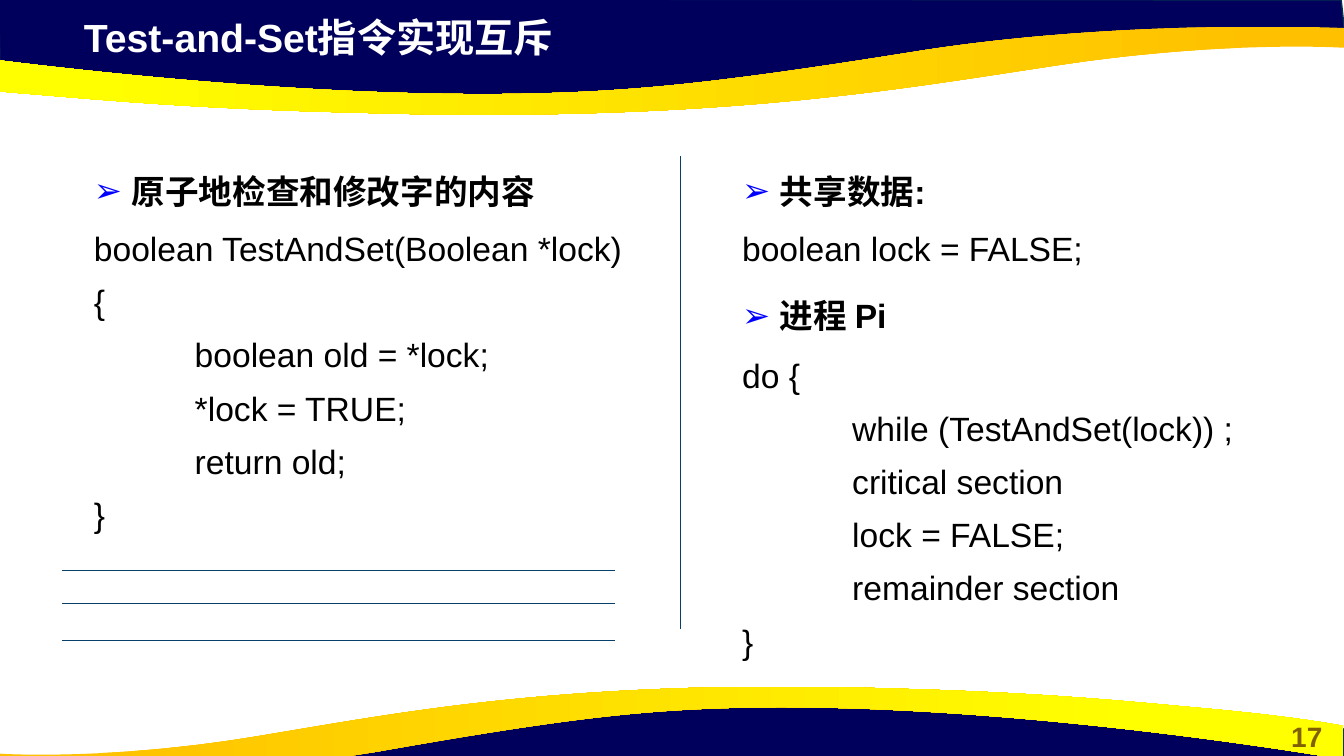
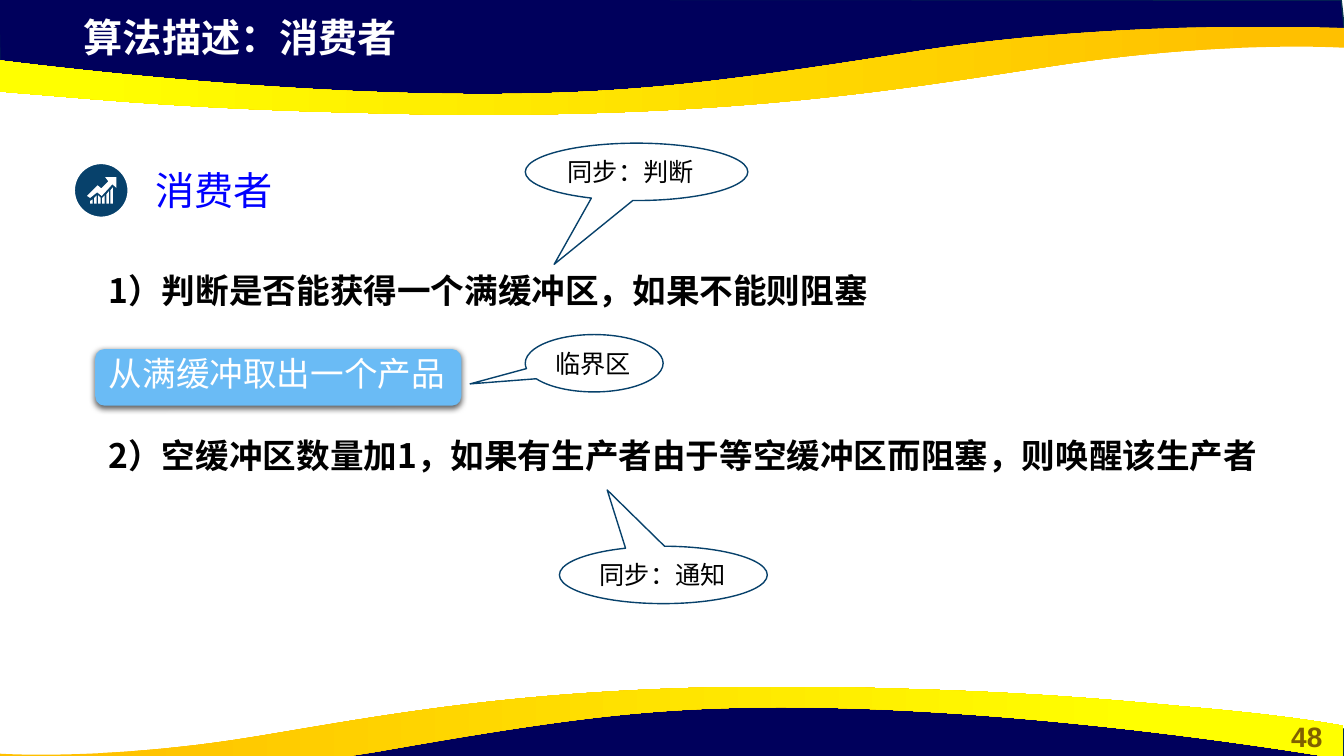
import lxml.etree
import pptx
import pptx.dml.color
import pptx.enum.shapes
import pptx.enum.text
import pptx.oxml.ns
import pptx.util

Pt = pptx.util.Pt
RGBColor = pptx.dml.color.RGBColor
SHAPE = pptx.enum.shapes.MSO_SHAPE
ANCHOR = pptx.enum.text.MSO_ANCHOR
ALIGN = pptx.enum.text.PP_ALIGN
qn = pptx.oxml.ns.qn

NAVY = RGBColor(0x00, 0x00, 0x5C)
NAVY_EDGE = RGBColor(0x05, 0x30, 0x4F)
TEAL = RGBColor(0x07, 0x41, 0x6B)
ORANGE = RGBColor(0xFF, 0xC0, 0x00)
YELLOW = RGBColor(0xFF, 0xFF, 0x00)
OLIVE = RGBColor(0x80, 0x60, 0x00)
SKY = RGBColor(0x6A, 0xBB, 0xF5)
BLUE = RGBColor(0x00, 0x00, 0xFF)
BLACK = RGBColor(0, 0, 0)
WHITE = RGBColor(0xFF, 0xFF, 0xFF)

LATIN = "Arial"
CHINESE = "Noto Sans CJK SC"


def style(size, color, bold=False, name=LATIN):
    return {"size": Pt(size), "bold": bold, "name": name, "color": color}


TITLE = style(28, WHITE, True)
NUMBER = style(20, OLIVE, True)
TOPIC = style(24, BLACK, True)
CODE = style(24, BLACK)
HEADING = style(28, BLUE)
STEP = style(24, BLACK, True, CHINESE)
PRODUCT = style(24, WHITE, False, CHINESE)
CALLOUT = style(18, BLACK)

NAVY_OUTLINE = [(-1, -1), (0, 50.4), (211, 73.4), (402.5, 72), (572.5, 63.4),
                (731.5, 36), (891.5, 23.8), (961, 27.4), (958, 0)]
GOLD_PIECES = [
    [(348, 82)],
    [(319, 82), (289, 81.5), (256, 80.5)],
    [(148, 78), (79, 72), (26, 67.5)],
    [(-63, 60.5), (-93.5, 54), (-96, 54)],
    [(-96, 30)],
    [(-96, 30), (157, 70.5), (372, 67)],
    [(451, 65.5), (510, 60), (659, 36)],
    [(807.5, 13), (960, 20), (960, 20)],
    [(960, 34)],
    [(957.5, 34)],
    [(939.5, 33), (860.5, 31), (759.5, 46)],
    [(658.5, 61), (548.5, 81.5), (348, 82)],
]
ICON_BARS = [(23.5, 22), (20.5, 18), (18, 20.5), (20.5, 18), (17, 14), (13, 10)]
ICON_ARROW = [(0, 18.5), (10.5, 8), (14, 11), (21, 4), (18, 0), (29, 0),
              (29, 10.5), (25, 7), (14.5, 18.5), (10, 15), (3, 20.5)]


def add_element(parent, tag, **attributes):
    element = lxml.etree.SubElement(parent, qn(tag))
    for name, value in attributes.items():
        element.set(name, str(value))
    return element


def write(paragraph, text, format_values):
    span = paragraph.add_run()
    span.text = text
    for name, value in format_values.items():
        if name == "color":
            span.font.color.rgb = value
        else:
            setattr(span.font, name, value)
    add_element(span.font._element, "a:ea", typeface=CHINESE)


def add_text(page, box, lines, format_values, spacing=None, **frame_values):
    frame = page.shapes.add_textbox(*map(Pt, box)).text_frame
    for name, value in {"word_wrap": True, **frame_values}.items():
        setattr(frame, name, value)
    for index, line in enumerate(lines):
        paragraph = frame.add_paragraph() if index else frame.paragraphs[0]
        paragraph._p.get_or_add_pPr().set("defTabSz", str(Pt(72)))
        paragraph.line_spacing = spacing
        write(paragraph, line, format_values)
    return frame


def paint(shape, fill, edge=None, width=1):
    shape.shadow.inherit = False
    shape.fill.solid()
    shape.fill.fore_color.rgb = fill
    if edge is None:
        shape.line.fill.background()
    else:
        shape.line.color.rgb = edge
        shape.line.width = Pt(width)


def add_outline(page, contours):
    builder = None
    for contour in contours:
        points = [(Pt(x), Pt(y)) for x, y in contour]
        if builder is None:
            builder = page.shapes.build_freeform(*points[0], scale=1.0)
        else:
            builder.move_to(*points[0])
        builder.add_line_segments(points[1:], close=True)
    return builder.convert_to_shape()


def add_curved_outline(page, pieces):
    shape = add_outline(page, [[piece[-1] for piece in pieces]])
    segments = list(shape._element.iter(qn("a:lnTo")))
    for segment, piece in zip(segments, pieces[1:]):
        if len(piece) == 3:
            curve = lxml.etree.Element(qn("a:cubicBezTo"))
            for x, y in piece:
                add_element(curve, "a:pt", x=Pt(x) - shape.left, y=Pt(y) - shape.top)
            segment.getparent().replace(segment, curve)
    return shape


def add_bands(page):
    bands = [
        (NAVY_OUTLINE, GOLD_PIECES, 180),
        ([(959.5 - x, 571 - y) for x, y in NAVY_OUTLINE],
         [[(872 - 0.91 * x, 572.4 - y) for x, y in piece] for piece in GOLD_PIECES], 0),
    ]
    for navy_points, gold_pieces, angle in bands:
        paint(add_outline(page, [navy_points]), NAVY, NAVY_EDGE)
        ribbon = add_curved_outline(page, gold_pieces)
        paint(ribbon, YELLOW)
        ribbon.fill.gradient()
        ribbon.fill.gradient_angle = angle
        for stop, position, color in zip(ribbon.fill.gradient_stops, (0.05, 0.85), (ORANGE, YELLOW)):
            stop.position = position
            stop.color.rgb = color


def add_page(deck, title, number):
    page = deck.slides.add_slide(deck.slide_layouts[6])
    add_bands(page)
    frame = add_text(page, (907.2, 510.5, 52.5, 31.5), [number], NUMBER)
    frame.paragraphs[0].alignment = ALIGN.CENTER
    add_text(page, (52.8, 6, 553, 41), [title], TITLE)
    return page


def add_topic(page, box, topic, code, code_gap):
    left, top, width, height = box
    frame = add_text(page, (left, top, width, 51), [topic], TOPIC, 1.5)
    properties = frame.paragraphs[0]._p.get_or_add_pPr()
    properties.set("marL", str(Pt(27)))
    properties.set("indent", str(-Pt(27)))
    color = add_element(properties, "a:buClr")
    add_element(color, "a:srgbClr", val=BLUE)
    add_element(properties, "a:buFont", typeface=LATIN)
    add_element(properties, "a:buChar", char="➢")
    add_text(page, (left, top + code_gap, width, height - code_gap), code, CODE, 1.32)


def add_rule(page, start, end):
    rule = page.shapes.add_connector(pptx.enum.shapes.MSO_CONNECTOR.STRAIGHT, *map(Pt, start + end))
    rule.line.color.rgb = TEAL
    rule.line.width = Pt(0.5)
    add_element(rule._element.spPr, "a:effectLst")


def add_icon(page, box):
    left, top, size, _ = box
    paint(page.shapes.add_shape(SHAPE.OVAL, *map(Pt, box)), TEAL, WHITE, 1.5)
    unit = size / 54
    bars = []
    for index, (start, end) in enumerate(ICON_BARS):
        x = 3 + 4 * index
        bars.append([(x, 26), (x, start), (x + 2.5, end), (x + 2.5, 26)])
    contours = [[(left + (13 + x) * unit, top + (14 + y) * unit) for x, y in contour]
                for contour in [*bars, ICON_ARROW]]
    paint(add_outline(page, contours), WHITE)


def add_callout(page, box, text, tip):
    callout = page.shapes.add_shape(SHAPE.OVAL_CALLOUT, *map(Pt, box))
    paint(callout, WHITE, TEAL)
    for index, value in enumerate(tip):
        callout.adjustments[index] = value
    frame = callout.text_frame
    frame.word_wrap = False
    frame.vertical_anchor = ANCHOR.MIDDLE
    frame.paragraphs[0].alignment = ALIGN.LEFT
    write(frame.paragraphs[0], text, CALLOUT)


def add_product(page, box, text):
    product = page.shapes.add_shape(SHAPE.ROUNDED_RECTANGLE, *map(Pt, box))
    paint(product, SKY)
    effects = product._element.spPr.find(qn("a:effectLst"))
    shadow = add_element(effects, "a:outerShdw", blurRad=Pt(4.5), dist=Pt(1.5),
                         dir=5400000, algn="ctr", rotWithShape=0)
    color = add_element(shadow, "a:srgbClr", val=BLACK)
    add_element(color, "a:alpha", val=63000)
    frame = product.text_frame
    frame.margin_top, frame.margin_bottom = Pt(0), Pt(6)
    frame.margin_left, frame.margin_right = Pt(6), Pt(8)
    frame.word_wrap = False
    frame.vertical_anchor = ANCHOR.MIDDLE
    frame.paragraphs[0].alignment = ALIGN.CENTER
    write(frame.paragraphs[0], text, PRODUCT)


def build_mutex(deck):
    page = add_page(deck, "Test-and-Set指令实现互斥", "17")
    add_topic(page, (60, 104, 425, 284), "原子地检查和修改字的内容",
              ["boolean TestAndSet(Boolean *lock)", "{", "\tboolean old = *lock;",
               "\t*lock = TRUE;", "\treturn old;", "}"], 46)
    add_topic(page, (523, 104, 425, 88), "共享数据:", ["boolean lock = FALSE;"], 46)
    add_topic(page, (523, 193, 395, 285), "进程 Pi",
              ["do {", "\t while (TestAndSet(lock)) ;", "\t critical section",
               "\t lock = FALSE;", "\t remainder section", "}"], 47.5)
    add_rule(page, (486, 111.5), (486, 449))
    for y in (407.5, 431, 457.2):
        add_rule(page, (44.5, y), (439, y))


def build_consumer(deck):
    page = add_page(deck, "算法描述：消费者", "48")
    add_icon(page, (52.8, 116.5, 39, 39))
    add_text(page, (104, 120, 393, 31), ["消费者"], HEADING, vertical_anchor=ANCHOR.MIDDLE)
    for top, step in (
        (189.5, "1）判断是否能获得一个满缓冲区，如果不能则阻塞"),
        (307, "2）空缓冲区数量加1，如果有生产者由于等空缓冲区而阻塞，则唤醒该生产者"),
    ):
        add_text(page, (70.5, top, 870, 42), [step], STEP)
    add_product(page, (68, 249.3, 261.5, 40.5), "从满缓冲取出一个产品")
    for box, text, tip in (
        ((375.2, 239, 98.5, 41), "临界区", (-0.9, 0.36)),
        ((375.2, 102.3, 159, 41), "同步：判断", (-0.37, 1.61)),
        ((399.6, 390.2, 148.5, 41), "同步：通知", (-0.27, -1.48)),
    ):
        add_callout(page, box, text, tip)


def main():
    deck = pptx.Presentation()
    deck.slide_width, deck.slide_height = Pt(960), Pt(540)
    build_mutex(deck)
    build_consumer(deck)
    deck.save("out.pptx")


if __name__ == "__main__":
    main()
